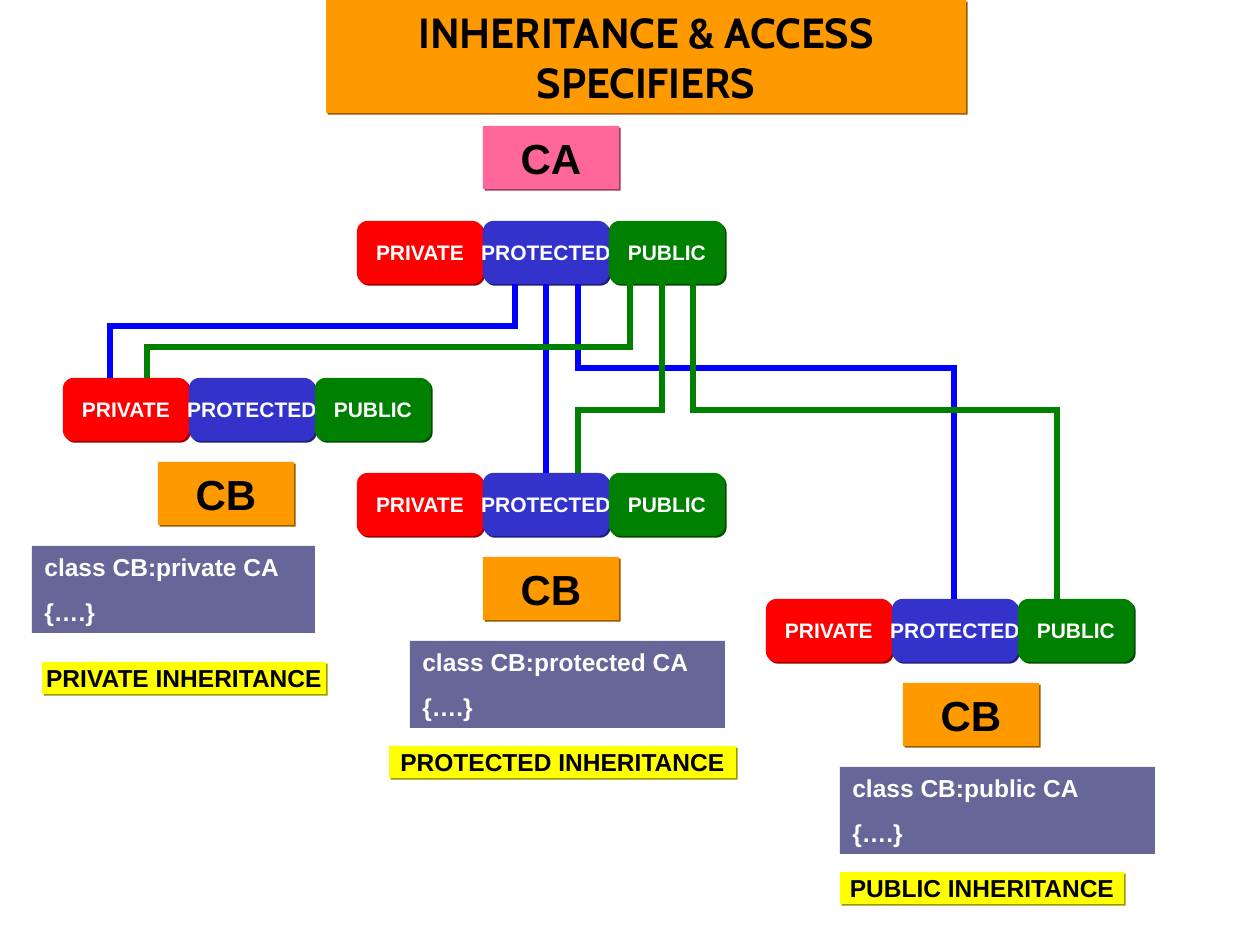
import pptx
import pptx.util
from lxml import etree
from pptx.dml.color import RGBColor
from pptx.enum.shapes import MSO_CONNECTOR, MSO_SHAPE
from pptx.enum.text import MSO_ANCHOR, MSO_AUTO_SIZE, PP_ALIGN
from pptx.oxml.ns import qn

PX = 914400 // 126
COLORS = {
    "red": "FF0000", "indigo": "3333CC", "green": "008000", "blue": "0000FF",
    "pink": "FF6699", "orange": "FF9900", "slate": "666699",
    "yellow": "FFFF00", "white": "FFFFFF", "black": "000000",
}

TITLE = ("INHERITANCE & ACCESS SPECIFIERS", (326, 0, 640, 113))
# label, fill, width
SPECIFIERS = [("PRIVATE", "red", 126), ("PROTECTED", "indigo", 126), ("PUBLIC", "green", 116)]
SPECIFIER_ROWS = [(357, 221), (63, 378), (357, 473), (766, 599)]
CLASSES = [
    ("CA", "pink", 483, 126), ("CB", "orange", 158, 462),
    ("CB", "orange", 483, 557), ("CB", "orange", 903, 683),
]
CODE = [
    ("class CB:private CA\n{….}", (32, 546, 283, 87)),
    ("class CB:protected CA\n{….}", (410, 641, 315, 87)),
    ("class CB:public CA\n{….}", (840, 767, 315, 87)),
]
KINDS = [
    ("PRIVATE INHERITANCE", (42, 662, 284, 32)),
    ("PROTECTED INHERITANCE", (389, 746, 347, 32)),
    ("PUBLIC INHERITANCE", (840, 872, 284, 32)),
]
# colour, start x, bend y, end x, end y
TOP = 284
ROUTES = [
    ("blue", 515, 326, 110, 378), ("blue", 546, None, 546, 473),
    ("blue", 578, 368, 954, 599), ("green", 630, 347, 147, 378),
    ("green", 662, 410, 578, 473), ("green", 693, 410, 1057, 599),
]
OVERLAP = 3


def px(*values):
    return [v * PX for v in values]


def rgb(name):
    return RGBColor.from_string(COLORS[name])


def add_shadow(sp, color):
    """Hard offset shadow in a 60% shade of the fill."""
    shade = "".join(f"{int(COLORS[color][i:i + 2], 16) * 6 // 10:02X}" for i in (0, 2, 4))
    sp.shadow.inherit = False
    effects = sp._element.spPr.find(qn("a:effectLst"))
    outer = etree.SubElement(effects, qn("a:outerShdw"), dist="17961", dir="2700000",
                             algn="ctr", rotWithShape="0")
    etree.SubElement(outer, qn("a:srgbClr"), val=shade)


def format_box(sp, text, fill, size, color="black", font="Arial", shadow=True,
               align=PP_ALIGN.CENTER, anchor=MSO_ANCHOR.MIDDLE, wrap=False, before=0):
    sp.fill.solid()
    sp.fill.fore_color.rgb = rgb(fill)
    sp.line.fill.background()
    if shadow:
        add_shadow(sp, fill)
    else:
        sp.shadow.inherit = False
    tf = sp.text_frame
    tf.text = text
    tf.word_wrap = wrap
    tf.vertical_anchor = anchor
    tf.auto_size = MSO_AUTO_SIZE.NONE
    for p in tf.paragraphs:
        p.alignment = align
        p.space_before = pptx.util.Pt(before)
        for r in p.runs:
            r.font.name = font
            r.font.size = pptx.util.Pt(size)
            r.font.bold = True
            r.font.color.rgb = rgb(color)


def add_box(s, box, text, fill, size, shape=MSO_SHAPE.RECTANGLE, **style):
    format_box(s.shapes.add_shape(shape, *px(*box)), text, fill, size, **style)


def add_line(s, color, *ends):
    line = s.shapes.add_connector(MSO_CONNECTOR.STRAIGHT, *px(*ends))
    line.line.color.rgb = rgb(color)
    line.line.width = pptx.util.Pt(3)
    etree.SubElement(line._element.spPr, qn("a:effectLst"))


def add_route(s, color, x1, bend, x2, end):
    if bend is None:
        add_line(s, color, x1, TOP, x2, end)
        return
    step = OVERLAP if x2 > x1 else -OVERLAP
    add_line(s, color, x1, TOP, x1, bend)
    add_line(s, color, x1 - step, bend, x2 + step, bend)
    add_line(s, color, x2, bend, x2, end)


def main():
    prs = pptx.Presentation()
    prs.slide_width, prs.slide_height = px(1260, 945)
    s = prs.slides.add_slide(prs.slide_layouts[5])

    text, box = TITLE
    title = s.shapes.title
    title.left, title.top, title.width, title.height = px(*box)
    format_box(title, text, "orange", 24, font="Cabin", anchor=MSO_ANCHOR.TOP,
               wrap=True, before=15)

    for x, y in SPECIFIER_ROWS:
        for label, fill, width in SPECIFIERS:
            add_box(s, (x, y, width, 63), label, fill, 12,
                    shape=MSO_SHAPE.ROUNDED_RECTANGLE, color="white")
            x += width
    for name, fill, x, y in CLASSES:
        add_box(s, (x, y, 136, 63), name, fill, 24)
    for route in ROUTES:
        add_route(s, *route)
    for text, box in CODE:
        add_box(s, box, text, "slate", 14, color="white", shadow=False, wrap=True,
                align=PP_ALIGN.LEFT, anchor=MSO_ANCHOR.TOP, before=8.8)
    for text, box in KINDS:
        add_box(s, box, text, "yellow", 14)

    prs.save("out.pptx")


if __name__ == "__main__":
    main()
